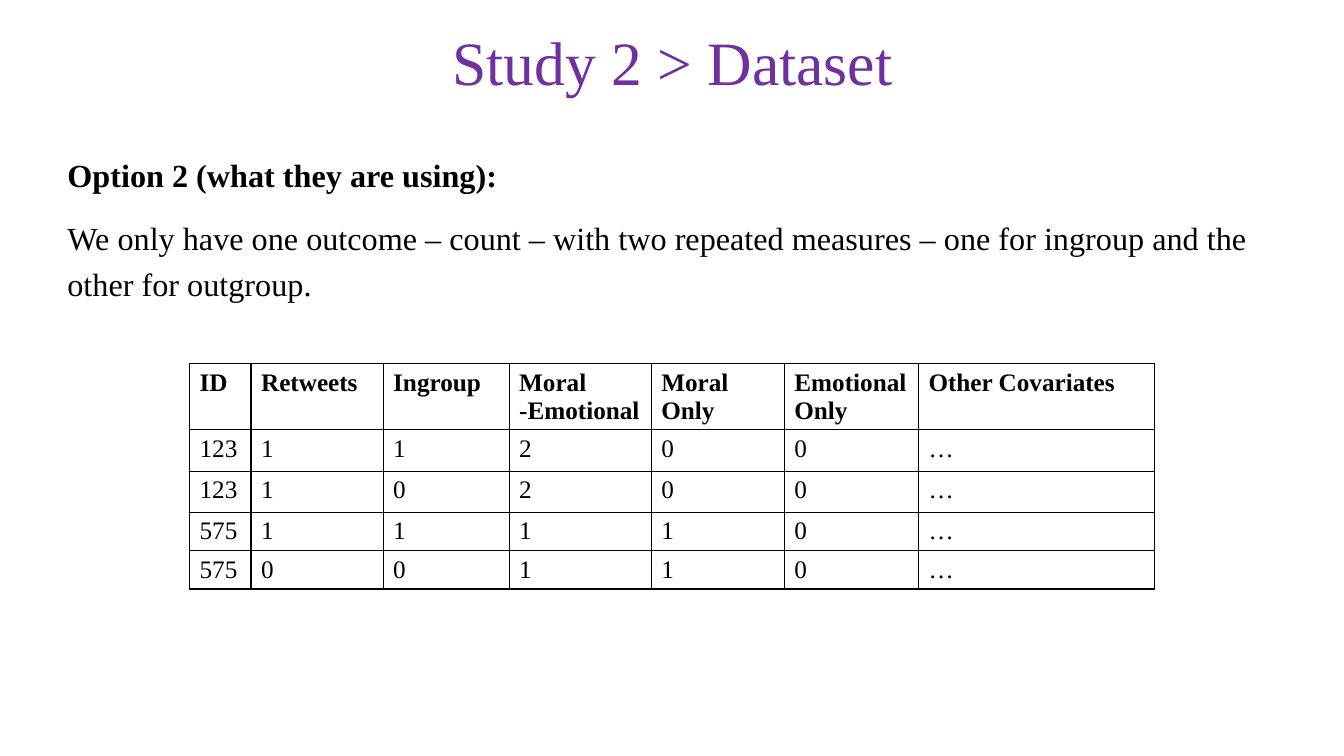
"""Builds the Study 2 dataset slide with its table of repeated measures."""
from lxml.etree import SubElement
from pptx import Presentation
from pptx.dml.color import RGBColor
from pptx.enum.text import MSO_ANCHOR as Anchor, PP_ALIGN as Align
from pptx.oxml.ns import qn
from pptx.util import Inches, Pt

BLACK = RGBColor(0x00, 0x00, 0x00)
PURPLE = RGBColor(0x70, 0x30, 0xA0)
FONT = "Times New Roman"

COLUMN_WIDTHS = [0.61, 1.31, 1.25, 1.41, 1.32, 1.33, 2.34]
ROW_HEIGHTS = [0.65, 0.41, 0.41, 0.38, 0.38]
DATASET = [
    ["ID", "Retweets", "Ingroup", "Moral -Emotional", "Moral Only", "Emotional Only", "Other Covariates"],
    ["123", "1", "1", "2", "0", "0", "…"],
    ["123", "1", "0", "2", "0", "0", "…"],
    ["575", "1", "1", "1", "1", "0", "…"],
    ["575", "0", "0", "1", "1", "0", "…"],
]


def write(paragraph, text, size=18, color=BLACK, bold=False, align=Align.LEFT,
          line=None, before=None, after=None):
    paragraph.text = text
    paragraph.alignment = align
    paragraph.line_spacing = line
    paragraph.space_before = before
    paragraph.space_after = after
    font = paragraph.runs[0].font
    font.name, font.size, font.bold = FONT, Pt(size), bold
    font.color.rgb = color


class SlideBuilder:
    def __init__(self, slide, border_width=1):
        self.slide = slide
        self.border_width = border_width

    def text_box(self, left, top, width, height, anchor=Anchor.TOP):
        box = self.slide.shapes.add_textbox(Inches(left), Inches(top), Inches(width), Inches(height))
        frame = box.text_frame
        frame.word_wrap = True
        frame.vertical_anchor = anchor
        return frame

    def table(self, left, top, widths, heights, rows):
        table = self.slide.shapes.add_table(
            len(rows), len(widths), Inches(left), Inches(top),
            Inches(sum(widths)), Inches(sum(heights))).table
        table.first_row = table.horz_banding = False
        for column, width in zip(table.columns, widths):
            column.width = Inches(width)
        for index, (row, height, values) in enumerate(zip(table.rows, heights, rows)):
            row.height = Inches(height)
            for cell, value in zip(row.cells, values):
                write(cell.text_frame.paragraphs[0], value, bold=index == 0)
                self.border(cell)
                cell.fill.background()

    def border(self, cell):
        properties = cell._tc.get_or_add_tcPr()
        for side in ("a:lnL", "a:lnR", "a:lnT", "a:lnB"):
            edge = SubElement(properties, qn(side), w=str(Pt(self.border_width)))
            SubElement(SubElement(edge, qn("a:solidFill")), qn("a:srgbClr"), val=str(BLACK))


def main():
    deck = Presentation()
    deck.slide_width, deck.slide_height = Inches(13.33), Inches(7.5)
    builder = SlideBuilder(deck.slides.add_slide(deck.slide_layouts[6]))

    builder.table(1.88, 3.61, COLUMN_WIDTHS, ROW_HEIGHTS, DATASET)

    explanation = builder.text_box(0.57, 1.42, 12.19, 5.65)
    write(explanation.paragraphs[0], "Option 2 (what they are using):",
          size=23, bold=True, line=1.19, after=Pt(6))
    write(explanation.add_paragraph(),
          "We only have one outcome – count – with two repeated measures – "
          "one for ingroup and the other for outgroup.",
          size=23, line=1.19, before=Pt(6), after=Pt(6))

    title = builder.text_box(0.92, 0.02, 11.5, 1.27, anchor=Anchor.MIDDLE)
    write(title.paragraphs[0], "Study 2 > Dataset", size=44, color=PURPLE, align=Align.CENTER, line=0.9)

    deck.save("out.pptx")


if __name__ == "__main__":
    main()
